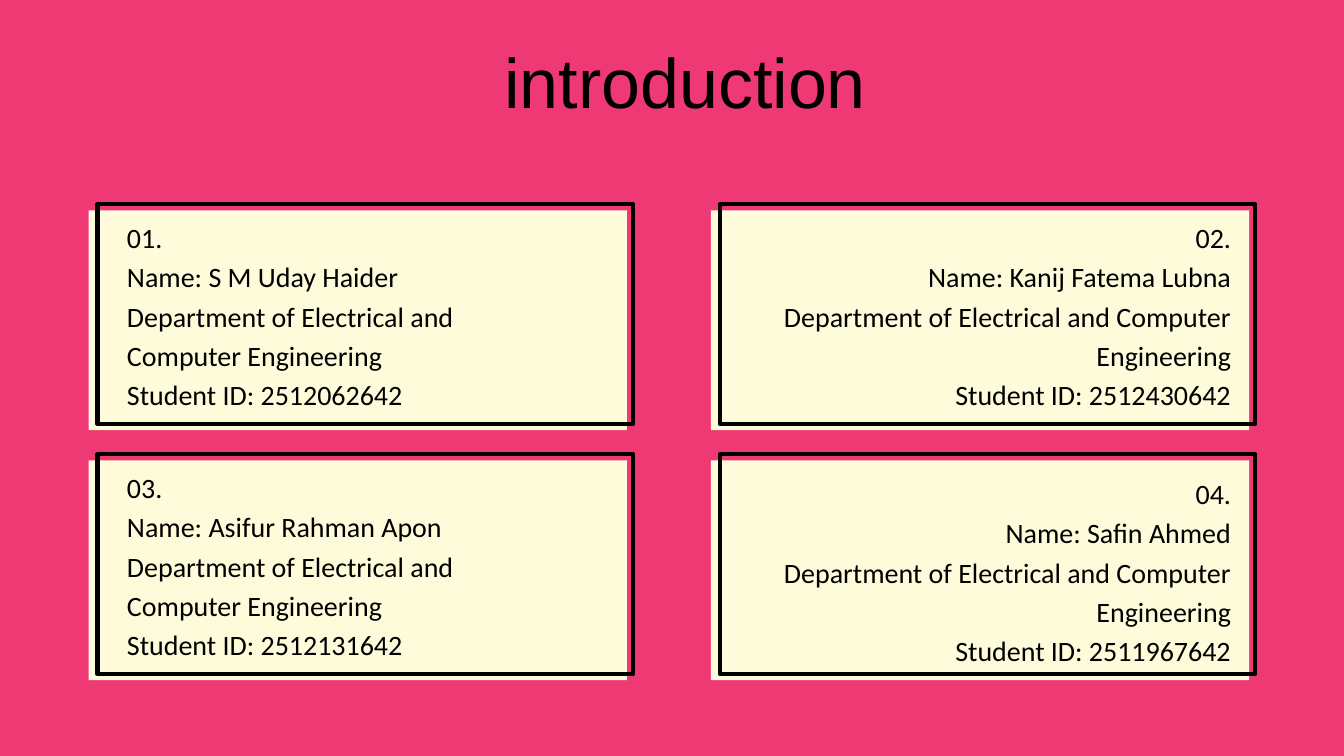
from dataclasses import dataclass

from pptx import Presentation
from pptx.dml.color import RGBColor
from pptx.enum.shapes import MSO_SHAPE
from pptx.enum.text import PP_ALIGN
from pptx.util import Inches, Pt

RECTANGLE = MSO_SHAPE.RECTANGLE
LEFT, CENTER, RIGHT = PP_ALIGN.LEFT, PP_ALIGN.CENTER, PP_ALIGN.RIGHT


@dataclass(frozen=True)
class Theme:
    background: RGBColor = RGBColor(0xEE, 0x39, 0x75)
    panel: RGBColor = RGBColor(0xFE, 0xFB, 0xDB)
    ink: RGBColor = RGBColor(0, 0, 0)
    title_font: str = "Arial"
    body_font: str = "Calibri"
    title_size: float = 75
    body_size: float = 30
    leading: float = 1.4
    frame_width: float = 4.5


THEME = Theme()
SLIDE_WIDTH, SLIDE_HEIGHT = 20, 11.25
TITLE_BOX = (1.32, 0.37, 17.75, 1.46)

GRID_LEFT, GRID_TOP = 1.32, 3.04
COLUMN_PITCH, ROW_PITCH = 9.26, 3.72
CARD_WIDTH, CARD_HEIGHT = 8.1, 3.37
PANEL_DROP, FRAME_SHIFT = 0.09, 0.13

DEPARTMENT = "Department of Electrical and Computer Engineering"
# Name, student ID and the distance from the card's top to its text
STUDENTS = [
    ("S M Uday Haider", "2512062642", 0.16),
    ("Kanij Fatema Lubna", "2512430642", 0.16),
    ("Asifur Rahman Apon", "2512131642", 0.16),
    ("Safin Ahmed", "2511967642", 0.25),
]


def add_rectangle(slide, box):
    shape = slide.shapes.add_shape(RECTANGLE, *map(Inches, box))
    shape.shadow.inherit = False
    return shape


def add_text(slide, box, lines, font_name, size, alignment):
    text_frame = slide.shapes.add_textbox(*map(Inches, box)).text_frame
    text_frame.word_wrap = True
    text_frame.margin_left = text_frame.margin_right = 0
    text_frame.margin_top = text_frame.margin_bottom = 0
    text_frame.text = "\n".join(lines)
    for paragraph in text_frame.paragraphs:
        paragraph.alignment = alignment
        paragraph.line_spacing = Pt(size * THEME.leading)
        for run in paragraph.runs:
            run.font.name = font_name
            run.font.size = Pt(size)
            run.font.color.rgb = THEME.ink


def add_card_back(slide, box):
    """Draw the pale panel and the black frame shifted up and right of it."""
    left, top, width, height = box
    panel = add_rectangle(slide, (left, top + PANEL_DROP, width - 0.09, height - 0.1))
    panel.fill.solid()
    panel.fill.fore_color.rgb = THEME.panel
    panel.line.fill.background()

    frame = add_rectangle(slide, (left + FRAME_SHIFT, top, width - FRAME_SHIFT, height - 0.1))
    frame.fill.background()
    frame.line.color.rgb = THEME.ink
    frame.line.width = Pt(THEME.frame_width)


def add_student_card(slide, box, lines, alignment, text_drop):
    left, top, width, _ = box
    add_card_back(slide, box)
    if alignment == LEFT:
        text_left, text_width = left + 0.57, 6.4
    else:
        text_width = 7.4
        text_left = left + width - 0.36 - text_width
    add_text(slide, (text_left, top + text_drop, text_width, 2.9), lines,
             THEME.body_font, THEME.body_size, alignment)


def add_student_grid(slide, left, top):
    for index, (name, student_id, text_drop) in enumerate(STUDENTS):
        row, column = divmod(index, 2)
        box = (left + column * COLUMN_PITCH, top + row * ROW_PITCH, CARD_WIDTH, CARD_HEIGHT)
        lines = [f"{index + 1:02}.", f"Name: {name}", DEPARTMENT, f"Student ID: {student_id}"]
        add_student_card(slide, box, lines, (LEFT, RIGHT)[column], text_drop)


def main():
    presentation = Presentation()
    presentation.slide_width = Inches(SLIDE_WIDTH)
    presentation.slide_height = Inches(SLIDE_HEIGHT)
    slide = presentation.slides.add_slide(presentation.slide_layouts[6])
    slide.background.fill.solid()
    slide.background.fill.fore_color.rgb = THEME.background

    add_student_grid(slide, GRID_LEFT, GRID_TOP)
    add_text(slide, TITLE_BOX, ["introduction"], THEME.title_font, THEME.title_size, CENTER)
    presentation.save("out.pptx")


if __name__ == "__main__":
    main()
